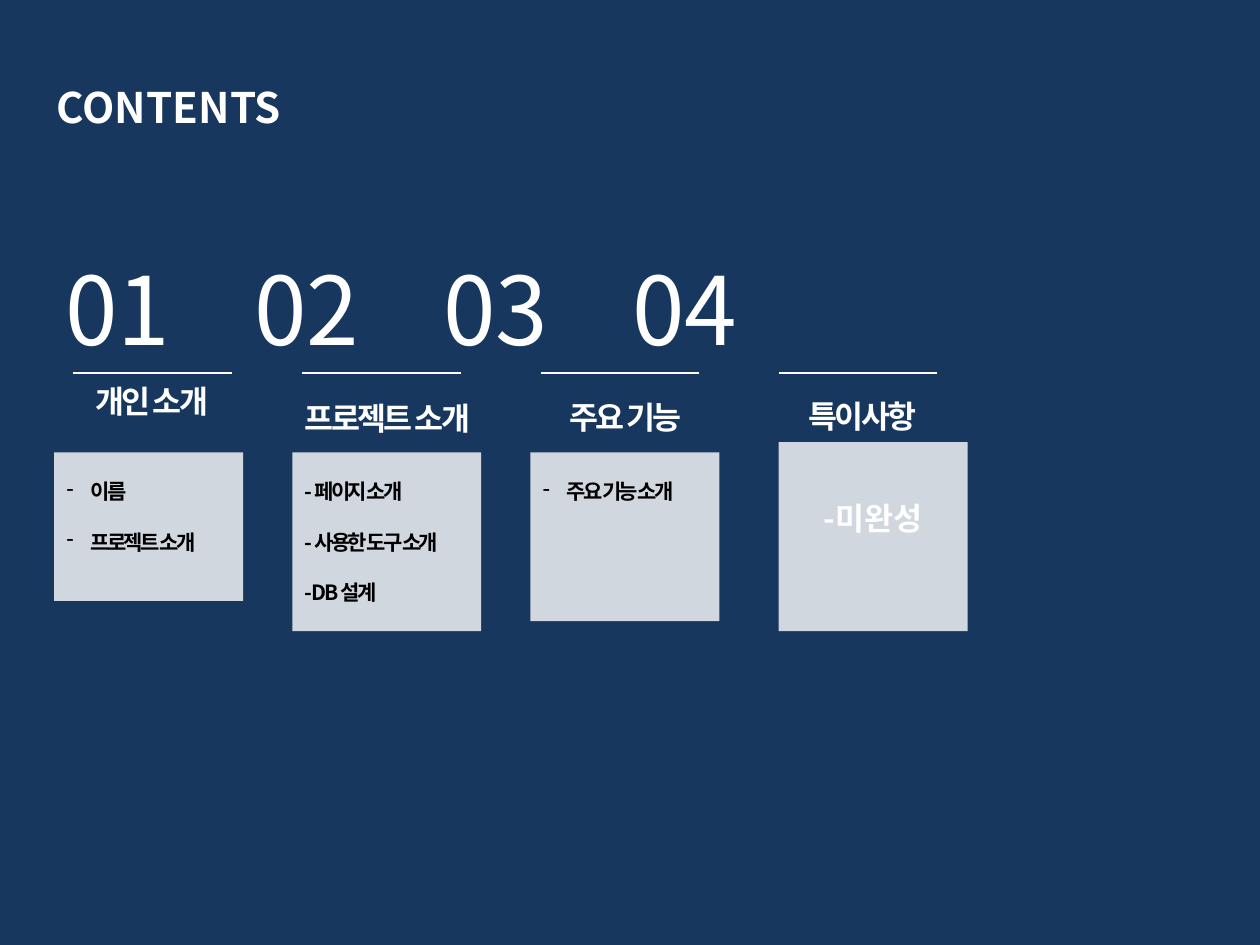
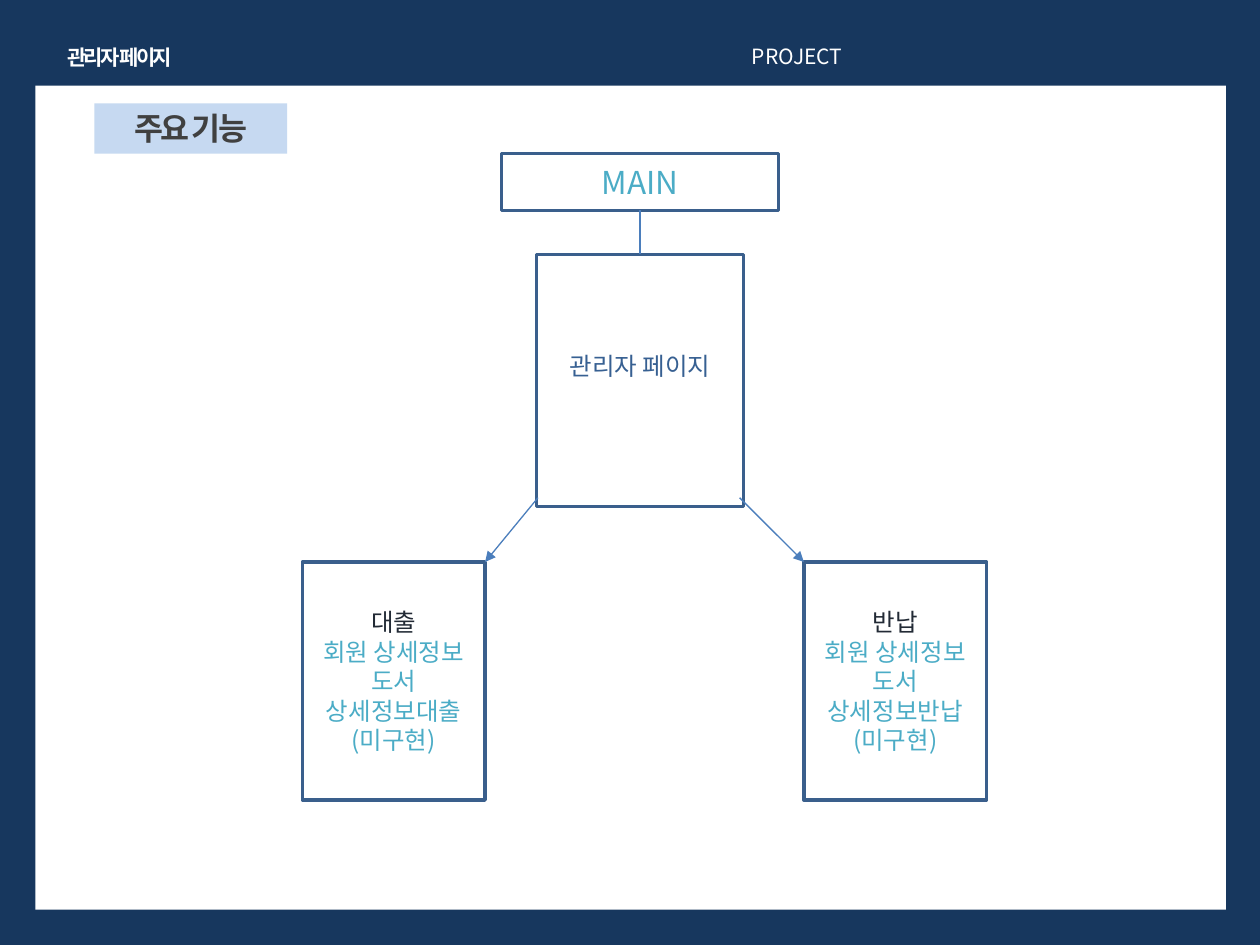
"""Builds a contents slide and an admin page flow slide."""
from lxml import etree
from pptx import Presentation
from pptx.dml.color import RGBColor
from pptx.enum.shapes import MSO_CONNECTOR, MSO_SHAPE
from pptx.enum.text import MSO_ANCHOR, MSO_AUTO_SIZE, PP_ALIGN
from pptx.oxml.ns import qn
from pptx.util import Inches, Pt

RECT, STRAIGHT = MSO_SHAPE.RECTANGLE, MSO_CONNECTOR.STRAIGHT
LEFT, CENTER = PP_ALIGN.LEFT, PP_ALIGN.CENTER
TOP, MIDDLE = MSO_ANCHOR.TOP, MSO_ANCHOR.MIDDLE
NO_FIT = MSO_AUTO_SIZE.NONE

FONT, LABEL_FONT = "Noto Sans CJK KR", "Arial"
COLORS = {"navy": "17375E", "white": "FFFFFF", "black": "000000", "tag": "C6D9F1",
          "tag_text": "404040", "border": "3A5F8C", "arrow": "4B7EBC",
          "teal": "4BACC6", "ink": "222A35", "blue": "376092"}
TIGHT = -150

CONTENTS_TITLE = "CONTENTS"
NUMBERS = ["01", "02", "03", "04"]
NUMBER_PITCH = 1.5
RULE_Y, RULE_W = 2.96, 1.26
PANEL_W, LABEL_W = 1.5, 1.81
SECTIONS = [
    {"label": "개인 소개", "label_at": (0.3, 2.98), "rule_x": 0.58,
     "panel": (0.43, 3.59, 1.18), "items": ["이름", "프로젝트 소개"]},
    {"label": "프로젝트 소개", "label_at": (2.17, 3.12), "rule_x": 2.4,
     "panel": (2.32, 3.59, 1.42),
     "items": ["- 페이지 소개", "- 사용한 도구 소개", "- DB 설계"]},
    {"label": "주요 기능", "label_at": (4.06, 3.11), "rule_x": 4.29,
     "panel": (4.21, 3.59, 1.34), "items": ["주요 기능 소개"]},
    {"label": "특이사항", "label_at": (5.94, 3.1), "rule_x": 6.18,
     "panel": (6.18, 3.51, 1.5), "status": "-미완성"},
]

FLOW_TITLE, FLOW_HEADER, FLOW_TAG = "관리자 페이지", "PROJECT", "주요 기능"
MAIN_BOX = ("MAIN", (3.98, 1.22, 2.2, 0.45))
ADMIN_BOX = ("관리자 페이지", (4.26, 2.02, 1.64, 2))
TASK_TOP, TASK_W, TASK_H = 4.46, 1.45, 1.89
TASKS = [
    {"left": 2.4, "lines": ["대출", "회원 상세정보", "도서 상세정보대출(미구현)"],
     "arrow": ((4.27, 3.95), (3.85, TASK_TOP))},
    {"left": 6.38, "lines": ["반납", "회원 상세정보", "도서 상세정보반납(미구현)"],
     "arrow": ((5.87, 3.95), (6.38, TASK_TOP))},
]


def rgb(name):
    return RGBColor.from_string(COLORS[name])


def style(p, size, color, bold=False, align=LEFT, spc=0, font=FONT):
    p.alignment = align
    f = p.font
    f.size, f.bold, f.name = Pt(size), bold, font
    f.color.rgb = rgb(color)
    props = p._p.pPr.find(qn("a:defRPr"))
    props.set("spc", str(spc))
    props.find(qn("a:latin")).addnext(props.makeelement(qn("a:ea"), {"typeface": FONT}))


def write(sp, lines, size, color, anchor=TOP, wrap=True, **look):
    tf = sp.text_frame
    tf.auto_size, tf.word_wrap, tf.vertical_anchor = NO_FIT, wrap, anchor
    for i, line in enumerate(lines):
        p = tf.add_paragraph() if i else tf.paragraphs[0]
        p.text = line
        style(p, size, color, **look)
    return tf


def add_text(s, box, lines, size, color, **look):
    sp = s.shapes.add_textbox(*map(Inches, box))
    return write(sp, lines, size, color, **look)


def add_rect(s, box, fill=None, line=None, alpha=None):
    sp = s.shapes.add_shape(RECT, *map(Inches, box))
    sp.shadow.inherit = False
    if fill:
        sp.fill.solid()
        sp.fill.fore_color.rgb = rgb(fill)
    else:
        sp.fill.background()
    if alpha:
        color = sp._element.spPr.find(qn("a:solidFill"))[0]
        etree.SubElement(color, qn("a:alpha")).set("val", str(alpha * 1000))
    if line:
        sp.line.color.rgb, sp.line.width = rgb(line), Pt(2)
    else:
        sp.line.fill.background()
    return sp


def add_line(s, start, end, color, arrow=False):
    c = s.shapes.add_connector(STRAIGHT, *map(Inches, start + end))
    c.line.color.rgb, c.line.width = rgb(color), Pt(0.75)
    if arrow:
        etree.SubElement(c.line._get_or_add_ln(), qn("a:tailEnd")).set("type", "triangle")
    etree.SubElement(c._element.spPr, qn("a:effectLst"))
    return c


def add_slide(prs, title, box, size, **look):
    s = prs.slides.add_slide(prs.slide_layouts[5])
    sp = s.shapes.title
    sp.left, sp.top, sp.width, sp.height = map(Inches, box)
    write(sp, [title], size, "white", bold=True, **look)
    return s


def add_bullet(p):
    pPr = p._p.pPr
    pPr.set("marL", str(Inches(0.19)))
    pPr.set("indent", str(-Inches(0.19)))
    pPr.find(qn("a:defRPr")).addprevious(pPr.makeelement(qn("a:buChar"), {"char": "-"}))


def add_tabs(p, pitch, count):
    tabs = p._p.makeelement(qn("a:tabLst"), {})
    for i in range(1, count):
        tab = etree.SubElement(tabs, qn("a:tab"))
        tab.set("pos", str(Inches(pitch * i)))
        tab.set("algn", "l")
    p._p.pPr.find(qn("a:defRPr")).addprevious(tabs)


def build_contents(prs):
    s = add_slide(prs, CONTENTS_TITLE, (0.35, 0.6, 4.57, 0.5), 24)
    tf = add_text(s, (0.42, 1.94, 9.29, 1.01), ["\t".join(NUMBERS)], 54, "white")
    add_tabs(tf.paragraphs[0], NUMBER_PITCH, len(NUMBERS))
    for section in SECTIONS:
        x, y, h = section["panel"]
        panel = add_rect(s, (x, y, PANEL_W, h), "white", alpha=80)
        rule_x = section["rule_x"]
        add_line(s, (rule_x, RULE_Y), (rule_x + RULE_W, RULE_Y), "white")
        add_text(s, (*section["label_at"], LABEL_W, 0.4), [section["label"]], 18, "white",
                 bold=True, align=CENTER, spc=TIGHT, font=LABEL_FONT)
        if "status" in section:
            tf = write(panel, [section["status"]], 18, "white", anchor=MIDDLE,
                       bold=True, align=CENTER)
            tf.margin_bottom = Inches(0.35)
            continue
        tf = add_text(s, (x, y + 0.16, PANEL_W, h - 0.16), section["items"], 12, "black",
                      bold=True, spc=TIGHT)
        for i, p in enumerate(tf.paragraphs):
            p.space_before = Pt(14.4 if i else 0)
            if not p.text.startswith("-"):
                add_bullet(p)


def build_flow(prs):
    s = add_slide(prs, FLOW_TITLE, (0.37, 0.3, 1.16, 0.3), 12, wrap=False,
                  align=CENTER, spc=TIGHT)
    add_rect(s, (0.28, 0.68, 9.45, 6.54), "white")
    add_text(s, (5.87, 0.3, 3.94, 0.3), [FLOW_HEADER], 12, "white")
    write(add_rect(s, (0.75, 0.82, 1.53, 0.4), "tag"), [FLOW_TAG], 18, "tag_text",
          bold=True, align=CENTER, spc=TIGHT)

    text, box = MAIN_BOX
    main_box = add_rect(s, box, line="border")
    write(main_box, [text], 18, "teal", anchor=MIDDLE, align=CENTER)
    text, box = ADMIN_BOX
    admin_box = add_rect(s, box, "white", "border")
    tf = write(admin_box, [text], 14, "blue", anchor=MIDDLE, align=CENTER)
    tf.margin_bottom = Inches(0.28)
    link = add_line(s, (5.08, 1.67), (5.08, 2.02), "arrow")
    link.begin_connect(main_box, 2)
    link.end_connect(admin_box, 0)

    for task in TASKS:
        sp = add_rect(s, (task["left"], TASK_TOP, TASK_W, TASK_H), "white", "border")
        tf = write(sp, task["lines"], 14, "teal", anchor=MIDDLE, align=CENTER)
        tf.paragraphs[0].font.color.rgb = rgb("ink")
        add_line(s, *task["arrow"], "arrow", arrow=True)


def main():
    prs = Presentation()
    prs.slide_width, prs.slide_height = Inches(10), Inches(7.5)
    fill = prs.slide_master.background.fill
    fill.solid()
    fill.fore_color.rgb = rgb("navy")
    build_contents(prs)
    build_flow(prs)
    prs.save("out.pptx")


if __name__ == "__main__":
    main()
